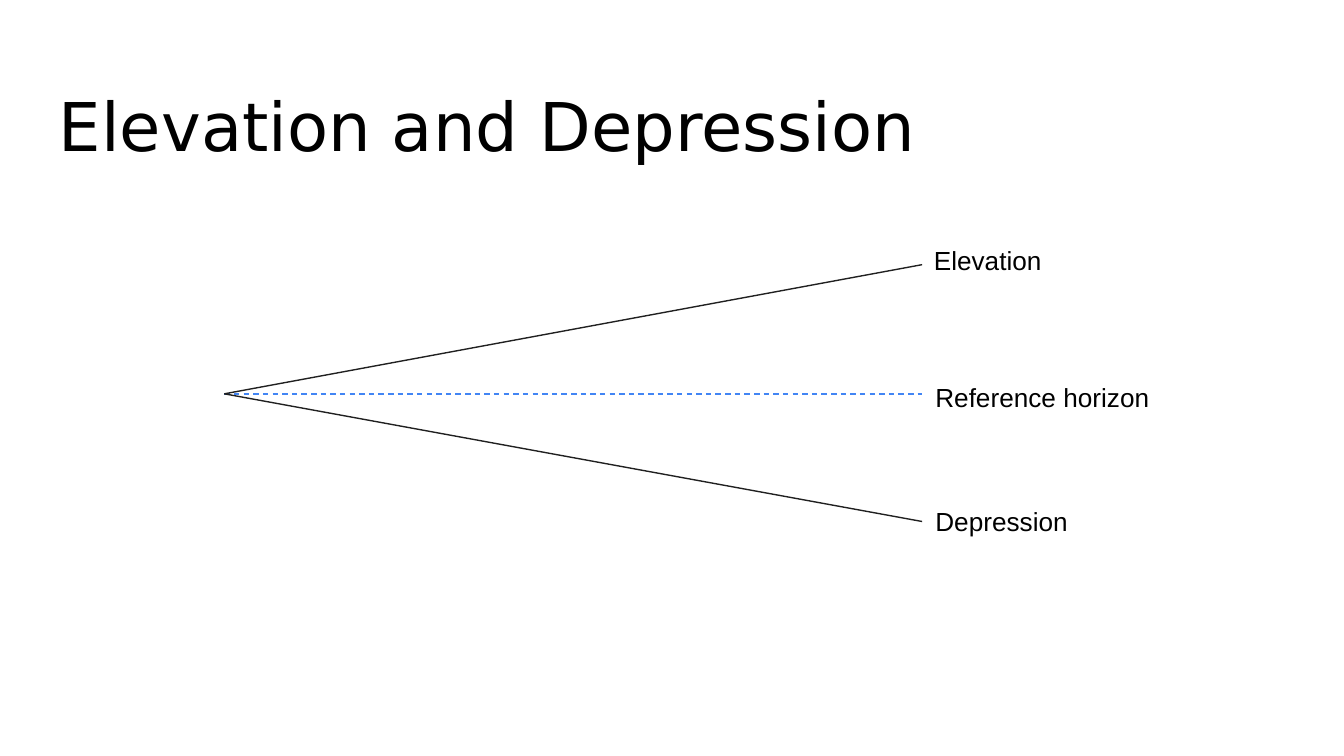
"""Build a slide showing elevation and depression angles about a horizon."""
import pptx
import pptx.dml.color
import pptx.enum.dml
import pptx.enum.shapes
import pptx.enum.text
import pptx.util
from lxml import etree

Pt = pptx.util.Pt

TITLE = "Elevation and Depression"
VERTEX = (120.2, 211)
RAY_END = 494
RAYS = [
    {"end": 211, "color": "4285F4", "dashed": True},
    {"end": 279.4, "color": "202020", "dashed": False},
    {"end": 141.8, "color": "202020", "dashed": False},
]
LABELS = [
    ("Reference horizon", 494, 200.9, 129.6),
    ("Depression", 494, 267.1, 85.7),
    ("Elevation", 493.2, 127.4, 72.7),
]
LABEL_HEIGHT = 24.5


def rgb(color):
    """Return the colour for a hex string."""
    return pptx.dml.color.RGBColor.from_string(color)


def add_text(s, text, box, *, size, font, wrap, insets, color="000000"):
    """Add one line of top-anchored text."""
    tf = s.shapes.add_textbox(*map(Pt, box)).text_frame
    tf.word_wrap = wrap
    tf.vertical_anchor = pptx.enum.text.MSO_ANCHOR.TOP
    tf.margin_left, tf.margin_top, tf.margin_right, tf.margin_bottom = map(Pt, insets)
    r = tf.paragraphs[0].add_run()
    r.text = text
    r.font.name = font
    r.font.size = Pt(size)
    r.font.color.rgb = rgb(color)


def add_ray(s, end, color, dashed):
    """Add a straight ray from the vertex to the given height."""
    ray = s.shapes.add_connector(
        pptx.enum.shapes.MSO_CONNECTOR.STRAIGHT, *map(Pt, (*VERTEX, RAY_END, end))
    )
    ray.line.color.rgb = rgb(color)
    ray.line.width = Pt(0.75)
    if dashed:
        ray.line.dash_style = pptx.enum.dml.MSO_LINE.DASH
    sp_pr = ray._element.spPr
    etree.SubElement(sp_pr, pptx.oxml.ns.qn("a:effectLst"))


def main():
    """Build and save the slide."""
    prs = pptx.Presentation()
    prs.slide_width, prs.slide_height = Pt(720), Pt(405)
    s = prs.slides.add_slide(prs.slide_layouts[6])
    add_text(s, TITLE, (24.5, 35.3, 671, 45.4), size=36, font="DejaVu Sans",
             wrap=True, insets=(7.2, 10, 7.2, 0))
    for ray in RAYS:
        add_ray(s, **ray)
    for text, left, top, width in LABELS:
        add_text(s, text, (left, top, width, LABEL_HEIGHT), size=14, font="Arial",
                 wrap=False, insets=(7.2, 3.6, 7.2, 3.6))
    prs.save("out.pptx")


if __name__ == "__main__":
    main()
